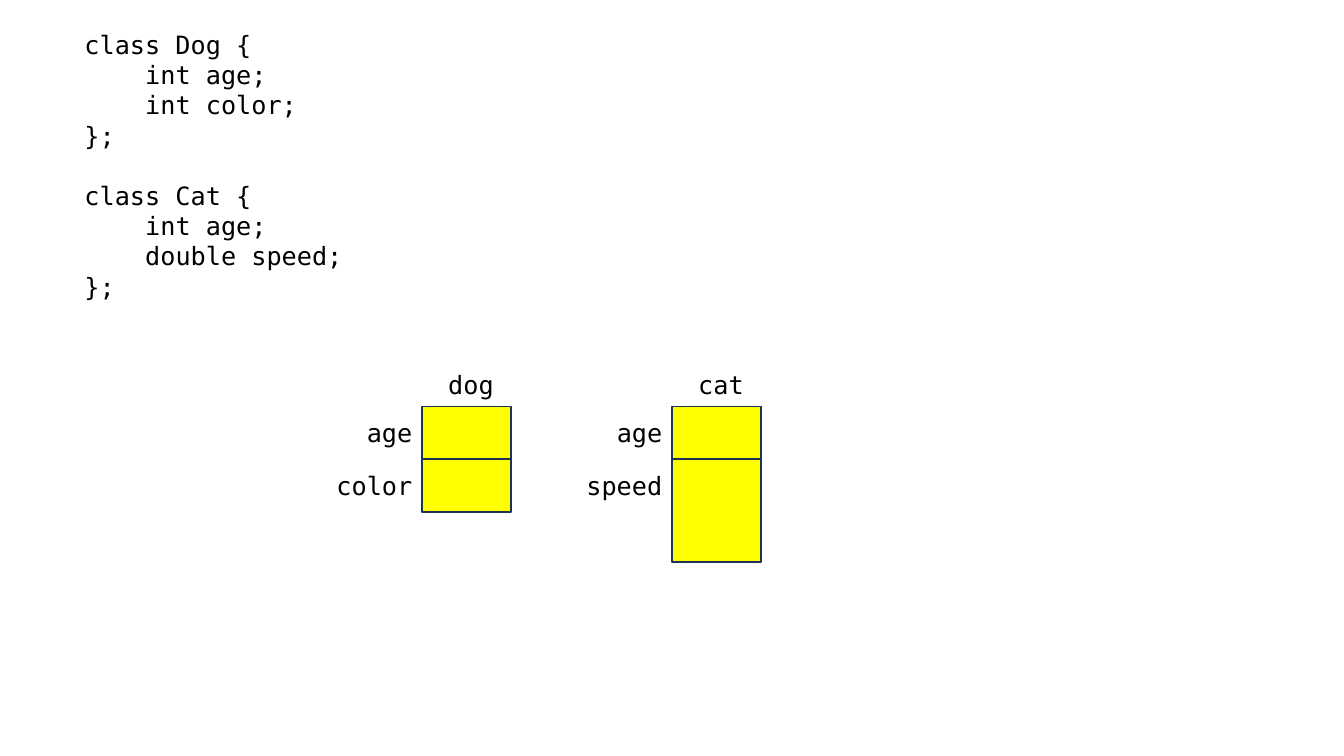
from pptx import Presentation
from pptx.dml.color import RGBColor
from pptx.enum.shapes import MSO_SHAPE as Shape
from pptx.enum.text import MSO_AUTO_SIZE as AutoSize, PP_ALIGN as Align
from pptx.util import Cm, Pt

BLACK = RGBColor(0x00, 0x00, 0x00)
YELLOW = RGBColor(0xFF, 0xFF, 0x00)
NAVY = RGBColor(0x1E, 0x32, 0x56)
CODE_FONT = "DejaVu Sans Mono"

MEMBER_INDENT = Cm(1.53)
CLASS_GAP = Pt(21.5)
LABEL_WIDTH, LABEL_HEIGHT = Cm(3.71), Cm(1.02)
NAME_WIDTH, NAME_RISE = Cm(2.46), Cm(1.05)
CELL_WIDTH = Cm(2.24)
INT_HEIGHT, DOUBLE_HEIGHT = Cm(1.33), Cm(2.59)
LABEL_DROP = Cm(0.16)

CLASSES = {
    "Dog": [("int", "age"), ("int", "color")],
    "Cat": [("int", "age"), ("double", "speed")],
}
CELL_HEIGHTS = {"int": INT_HEIGHT, "double": DOUBLE_HEIGHT}


def add_text(slide, left, top, width, height, lines, align=Align.LEFT):
    """Add a monospaced text box and return its paragraphs."""
    box = slide.shapes.add_textbox(left, top, width, height)
    frame = box.text_frame
    frame.word_wrap = True
    frame.auto_size = AutoSize.SHAPE_TO_FIT_TEXT
    frame.text = "\n".join(lines)
    for line in frame.paragraphs:
        line.alignment = align
        line.font.name = CODE_FONT
        line.font.size = Pt(18)
        line.font.color.rgb = BLACK
    return frame.paragraphs


def add_class_listing(slide, left, top, width, height):
    code = []
    for class_name, members in CLASSES.items():
        code.append(f"class {class_name} {{")
        code.extend(f"{kind} {member};" for kind, member in members)
        code.append("};")
    lines = add_text(slide, left, top, width, height, code)
    for number, line in enumerate(lines):
        if line.text.startswith("class"):
            if number:
                line.space_before = CLASS_GAP
        elif line.text != "};":
            properties = line._p.get_or_add_pPr()
            properties.set("marL", str(MEMBER_INDENT))
            properties.set("indent", "0")


def add_memory_layout(slide, left, top, class_name, members):
    """Stack one cell per member, with the object's name above."""
    add_text(slide, left, top - NAME_RISE, NAME_WIDTH, LABEL_HEIGHT,
             [class_name.lower()], Align.CENTER)
    for kind, member in members:
        height = CELL_HEIGHTS[kind]
        cell = slide.shapes.add_shape(Shape.RECTANGLE, left, top, CELL_WIDTH, height)
        cell.shadow.inherit = False
        cell.fill.solid()
        cell.fill.fore_color.rgb = YELLOW
        cell.line.color.rgb = NAVY
        cell.line.width = Pt(1)
        add_text(slide, left - LABEL_WIDTH, top + LABEL_DROP,
                 LABEL_WIDTH, LABEL_HEIGHT, [member], Align.RIGHT)
        top += height


def main():
    deck = Presentation()
    deck.slide_width, deck.slide_height = Cm(33.87), Cm(19.05)
    slide = deck.slides.add_slide(deck.slide_layouts[6])
    add_class_listing(slide, Cm(1.88), Cm(0.61), Cm(16.94), Cm(7.19))
    for column, (class_name, members) in enumerate(CLASSES.items()):
        add_memory_layout(slide, Cm(10.64) + column * Cm(6.3), Cm(10.24),
                          class_name, members)
    deck.save("out.pptx")


if __name__ == "__main__":
    main()
